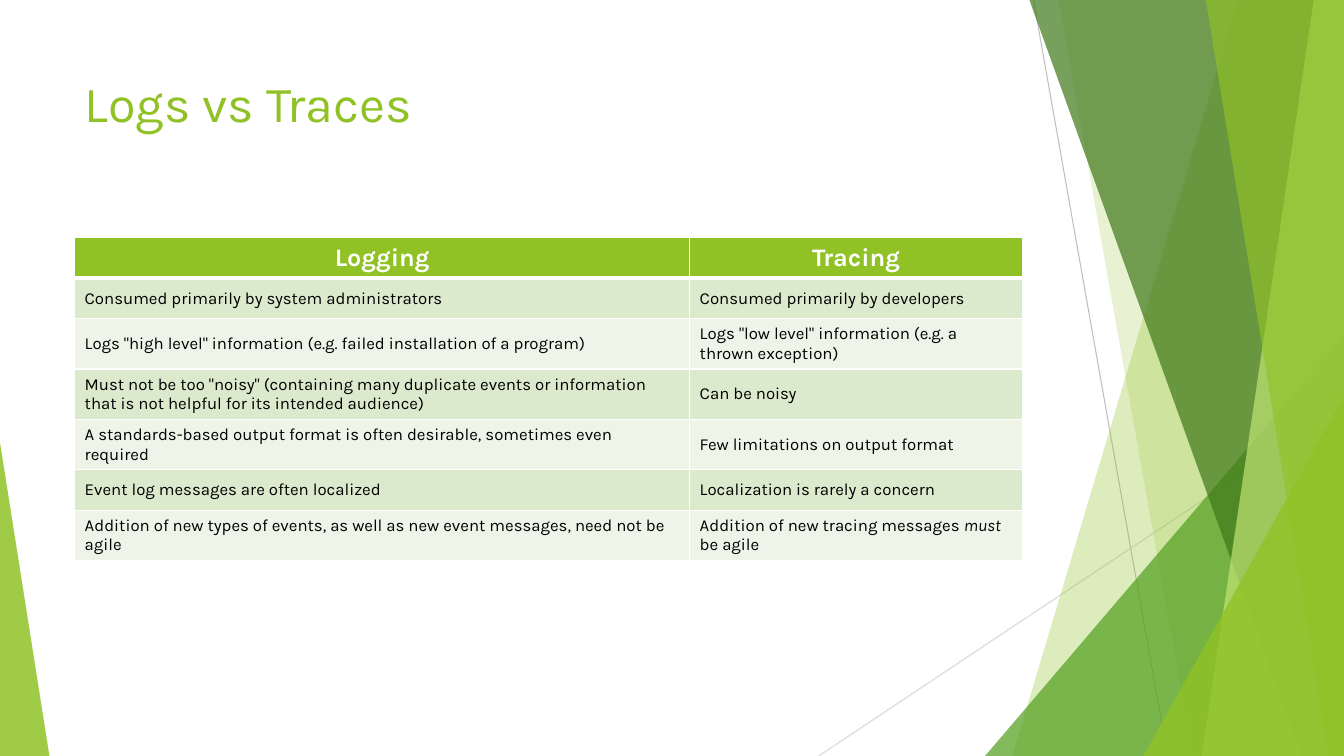
from lxml import etree
from pptx import Presentation
from pptx import util as u
from pptx.dml.color import RGBColor
from pptx.enum import shapes, text
from pptx.oxml import ns

FONT = "Karla"
LIME = RGBColor(0x90, 0xC2, 0x26)
PALE_LIME = RGBColor(0xC0, 0xE4, 0x74)
GREEN = RGBColor(0x54, 0xA0, 0x21)
FOREST = RGBColor(0x3F, 0x78, 0x19)
BAND_DARK = RGBColor(0xDB, 0xE9, 0xCD)
BAND_LIGHT = RGBColor(0xEE, 0xF4, 0xE8)
GREY = RGBColor(0xBF, 0xBF, 0xBF)
LIGHT_GREY = RGBColor(0xD9, 0xD9, 0xD9)
BLACK = RGBColor(0, 0, 0)
WHITE = RGBColor(0xFF, 0xFF, 0xFF)

W, H = 13.33, 7.5
HEADERS = ["Logging", "Tracing"]
ROWS = [
    ("Consumed primarily by system administrators",
     "Consumed primarily by developers"),
    ('Logs "high level" information (e.g. failed installation of a program)',
     'Logs "low level" information (e.g. a thrown exception)'),
    ('Must not be too "noisy" (containing many duplicate events or information '
     'that is not helpful for its intended audience)',
     "Can be noisy"),
    ("A standards-based output format is often desirable, sometimes even required",
     "Few limitations on output format"),
    ("Event log messages are often localized",
     "Localization is rarely a concern"),
    ("Addition of new types of events, as well as new event messages, need not be agile",
     "Addition of new tracing messages *must* be agile"),
]


def write(tf, content, size=12, color=BLACK, bold=False, align=text.PP_ALIGN.LEFT):
    """Fill a text frame; parts between asterisks become italic."""
    tf.word_wrap = True
    p = tf.paragraphs[0]
    p.alignment = align
    for i, part in enumerate(content.split("*")):
        r = p.add_run()
        r.text = part
        r.font.name = FONT
        r.font.size = u.Pt(size)
        r.font.bold = bold
        r.font.italic = i % 2 == 1
        r.font.color.rgb = color


def paint(sp, color, alpha):
    """Give a shape a translucent fill, alpha in percent, without line or shadow."""
    sp.shadow.inherit = False
    sp.fill.solid()
    sp.fill.fore_color.rgb = color
    sp.line.fill.background()
    clr = sp.element.spPr.find(ns.qn("a:solidFill"))[0]
    etree.SubElement(clr, ns.qn("a:alpha"), val=str(alpha * 1000))


def add_line(s, x1, y1, x2, y2, color):
    c = s.shapes.add_connector(shapes.MSO_CONNECTOR.STRAIGHT, u.Inches(x1),
                               u.Inches(y1), u.Inches(x2), u.Inches(y2))
    c.line.color.rgb = color
    c.line.width = u.Pt(0.75)
    etree.SubElement(c.element.spPr, ns.qn("a:effectLst"))


def add_shard(s, top, bottom, color, alpha):
    """Add a full-height shape from a slanted left edge to the slide's right edge."""
    fb = s.shapes.build_freeform(u.Inches(top), 0)
    fb.add_line_segments([(u.Inches(x), u.Inches(y))
                          for x, y in ((W, 0), (W, H), (bottom, H))])
    paint(fb.convert_to_shape(), color, alpha)


def add_triangle(s, left, top, width, apex, color, alpha):
    """Add a triangle standing on the slide's bottom edge."""
    sp = s.shapes.add_shape(shapes.MSO_SHAPE.ISOSCELES_TRIANGLE, u.Inches(left),
                            u.Inches(top), u.Inches(width), u.Inches(H - top))
    sp.adjustments[0] = apex
    paint(sp, color, alpha)


def add_borders(cell, top, bottom):
    """Draw white cell borders; top and bottom widths in points."""
    tcPr = cell._tc.get_or_add_tcPr()
    for side, width in (("L", 1), ("R", 1), ("T", top), ("B", bottom)):
        ln = etree.SubElement(tcPr, ns.qn("a:ln" + side), w=str(u.Pt(width)))
        fill = etree.SubElement(ln, ns.qn("a:solidFill"))
        etree.SubElement(fill, ns.qn("a:srgbClr"), val=str(WHITE))


def add_comparison(s):
    rows = [HEADERS, *ROWS]
    tbl = s.shapes.add_table(len(rows), 2, u.Inches(0.74), u.Inches(2.36),
                             u.Inches(9.4), u.Inches(0.41 * len(rows))).table
    for col, width in zip(tbl.columns, (6.1, 3.3)):
        col.width = u.Inches(width)
    for i, row in enumerate(rows):
        tbl.rows[i].height = u.Inches(0.4)
        for j, content in enumerate(row):
            cell = tbl.cell(i, j)
            add_borders(cell, 3 if i == 1 else 1, 3 if i == 0 else 1)
            cell.vertical_anchor = text.MSO_ANCHOR.MIDDLE
            cell.fill.solid()
            if i == 0:
                cell.fill.fore_color.rgb = LIME
                write(cell.text_frame, content, size=18, color=WHITE, bold=True,
                      align=text.PP_ALIGN.CENTER)
            else:
                cell.fill.fore_color.rgb = BAND_DARK if i % 2 else BAND_LIGHT
                write(cell.text_frame, content)


def add_backdrop(s):
    add_line(s, 10.25, 0, 11.58, H, GREY)
    add_line(s, W, 4.03, 8.12, H, LIGHT_GREY)
    add_shard(s, 12.28, 10.04, LIME, 30)
    add_shard(s, 10.5, 11.83, LIME, 20)
    add_triangle(s, 9.77, 3.33, 3.56, 1, GREEN, 72)
    add_shard(s, 10.21, 12.91, FOREST, 70)
    add_shard(s, 13.03, 11.92, PALE_LIME, 70)
    add_shard(s, 11.96, 13.18, LIME, 65)
    add_triangle(s, 11.34, 3.93, 1.99, 1, LIME, 80)
    add_triangle(s, 0, 4.39, 0.49, 0, LIME, 85)


def main():
    prs = Presentation()
    prs.slide_width, prs.slide_height = u.Inches(W), u.Inches(H)
    s = prs.slides.add_slide(prs.slide_layouts[6])
    add_backdrop(s)
    title = s.shapes.add_textbox(u.Inches(0.74), u.Inches(0.67),
                                 u.Inches(9.4), u.Inches(1.44))
    write(title.text_frame, "Logs vs Traces", size=36, color=LIME)
    add_comparison(s)
    prs.save("out.pptx")


if __name__ == "__main__":
    main()
